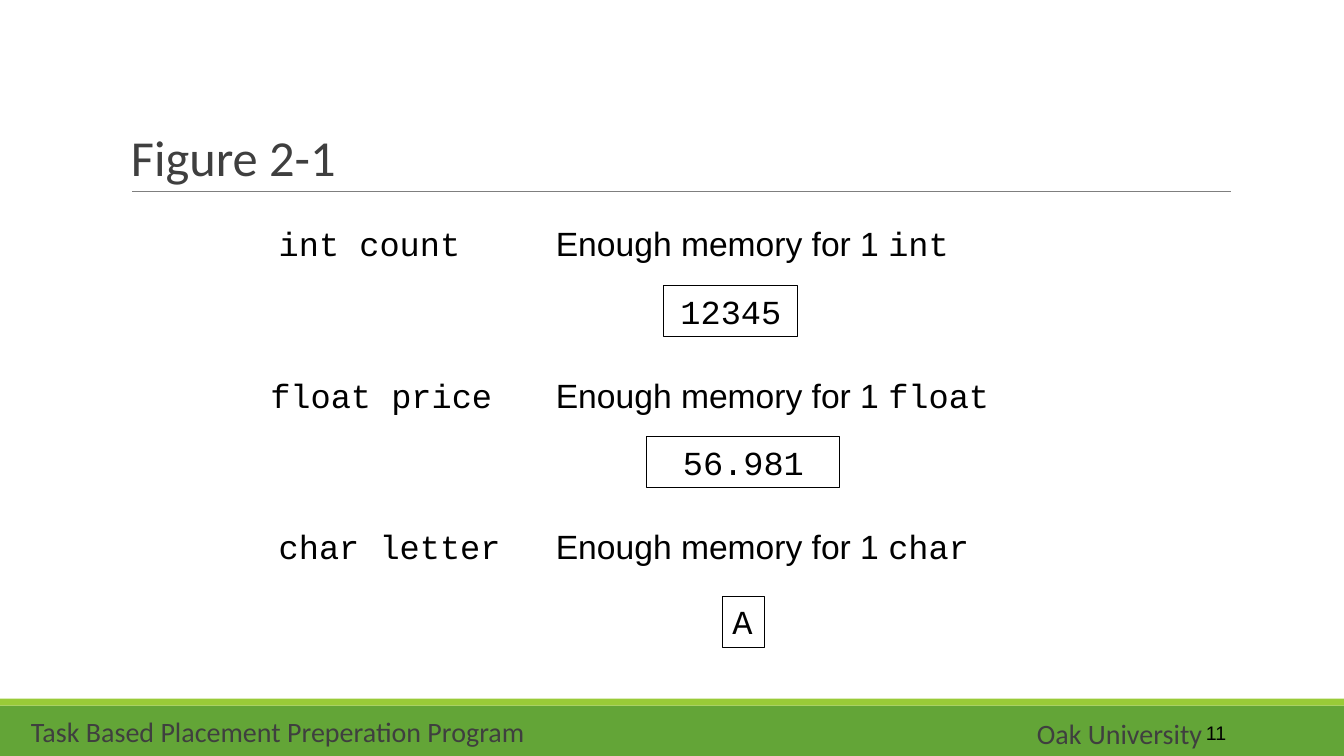
from dataclasses import dataclass

from lxml import etree
from pptx import Presentation
from pptx.dml.color import RGBColor
from pptx.enum.shapes import MSO_CONNECTOR, MSO_SHAPE
from pptx.enum.text import MSO_ANCHOR, MSO_AUTO_SIZE, PP_ALIGN
from pptx.oxml.ns import qn
from pptx.util import Pt

RECT = MSO_SHAPE.RECTANGLE
STRAIGHT = MSO_CONNECTOR.STRAIGHT
TOP, MIDDLE, BOTTOM = MSO_ANCHOR.TOP, MSO_ANCHOR.MIDDLE, MSO_ANCHOR.BOTTOM
LEFT, CENTER, RIGHT = PP_ALIGN.LEFT, PP_ALIGN.CENTER, PP_ALIGN.RIGHT
GROW, FIXED = MSO_AUTO_SIZE.SHAPE_TO_FIT_TEXT, MSO_AUTO_SIZE.NONE

COLORS = {
    "green": "63A537",
    "lime": "99CB38",
    "rule": "7F7F7F",
    "gray": "3F3F3F",
    "black": "000000",
}
SANS, BODY, CODE = "Calibri", "Arial", "Courier New"

FIRST_ROW, ROW_STEP = 156, 108
MEMORY_LEFT, MEMORY_WIDTH = 390, 324
ROW_HEIGHT, BOX_HEIGHT = 36, 36.5


@dataclass
class Box:
    left: float
    top: float
    width: float
    height: float


@dataclass
class Run:
    text: str
    font: str
    size: float = 24
    color: str = "black"


@dataclass
class Variable:
    type_name: str
    name: str
    label_left: float
    label_width: float
    value: str
    value_left: float
    value_width: float
    value_drop: float = 48
    value_align: PP_ALIGN = CENTER


VARIABLES = [
    Variable("int", "count", 192, 162, "12345", 474, 96),
    Variable("float", "price", 186, 180, "56.981", 462, 138),
    Variable("char", "letter", 192, 174, "A", 516, 30, 54, LEFT),
]


def rgb(name: str) -> RGBColor:
    return RGBColor.from_string(COLORS[name])


def fill_text(sp, runs: list[Run], align=LEFT, anchor=TOP, inset: float = 3.6,
              auto_size=GROW, spacing: float = 1.0) -> None:
    tf = sp.text_frame
    tf.word_wrap = True
    tf.auto_size = auto_size
    tf.vertical_anchor = anchor
    tf.margin_left = tf.margin_right = Pt(7.2)
    tf.margin_top = tf.margin_bottom = Pt(inset)
    p = tf.paragraphs[0]
    p.alignment = align
    p.line_spacing = spacing
    for run in runs:
        r = p.add_run()
        r.text = run.text
        r.font.name = run.font
        r.font.size = Pt(run.size)
        r.font.color.rgb = rgb(run.color)


def add_text(s, box: Box, runs: list[Run], **style) -> None:
    sp = s.shapes.add_textbox(Pt(box.left), Pt(box.top), Pt(box.width), Pt(box.height))
    fill_text(sp, runs, **style)


def add_rect(s, box: Box):
    sp = s.shapes.add_shape(RECT, Pt(box.left), Pt(box.top), Pt(box.width), Pt(box.height))
    sp.shadow.inherit = False
    return sp


def add_band(s, box: Box, color: str) -> None:
    sp = add_rect(s, box)
    sp.fill.solid()
    sp.fill.fore_color.rgb = rgb(color)
    sp.line.fill.background()


def add_rule(s, left: float, right: float, y: float) -> None:
    line = s.shapes.add_connector(STRAIGHT, Pt(left), Pt(y), Pt(right), Pt(y))
    line.line.color.rgb = rgb("rule")
    line.line.width = Pt(0.75)
    etree.SubElement(line._element.spPr, qn("a:effectLst"))


def add_variable(s, var: Variable, top: float) -> None:
    add_text(s, Box(var.label_left, top, var.label_width, ROW_HEIGHT),
             [Run(f"{var.type_name} {var.name}", CODE)])
    add_text(s, Box(MEMORY_LEFT, top, MEMORY_WIDTH, ROW_HEIGHT),
             [Run("Enough memory for 1 ", BODY), Run(var.type_name, CODE)])
    sp = add_rect(s, Box(var.value_left, top + var.value_drop, var.value_width, BOX_HEIGHT))
    sp.fill.background()
    sp.line.color.rgb = rgb("black")
    sp.line.width = Pt(0.75)
    fill_text(sp, [Run(var.value, CODE)], align=var.value_align)


def main() -> None:
    prs = Presentation()
    prs.slide_width, prs.slide_height = Pt(960), Pt(540)
    s = prs.slides.add_slide(prs.slide_layouts[6])

    # Footer bands and title rule
    add_band(s, Box(0, 504, 960, 36), "green")
    add_band(s, Box(0, 499, 960, 5), "lime")
    add_rule(s, 94.5, 879, 136.6)

    # Footer texts and page number
    add_text(s, Box(15, 503.5, 400, 36),
             [Run("Task Based Placement Preperation Program", SANS, 20, "gray")],
             inset=7.2, auto_size=FIXED)
    add_text(s, Box(733.5, 504.7, 187, 29), [Run("Oak University", SANS, 20, "gray")],
             inset=7.2, auto_size=FIXED)
    add_text(s, Box(780, 508.5, 103, 29), [Run("11", BODY, 14)],
             align=RIGHT, anchor=MIDDLE, auto_size=FIXED)

    # Title
    add_text(s, Box(86.5, 22.5, 792, 114.2), [Run("Figure 2-1", SANS, 36, "gray")],
             anchor=BOTTOM, auto_size=FIXED, spacing=0.85)

    # Variables with the memory each one takes
    for i, var in enumerate(VARIABLES):
        add_variable(s, var, FIRST_ROW + i * ROW_STEP)

    prs.save("out.pptx")


if __name__ == "__main__":
    main()
